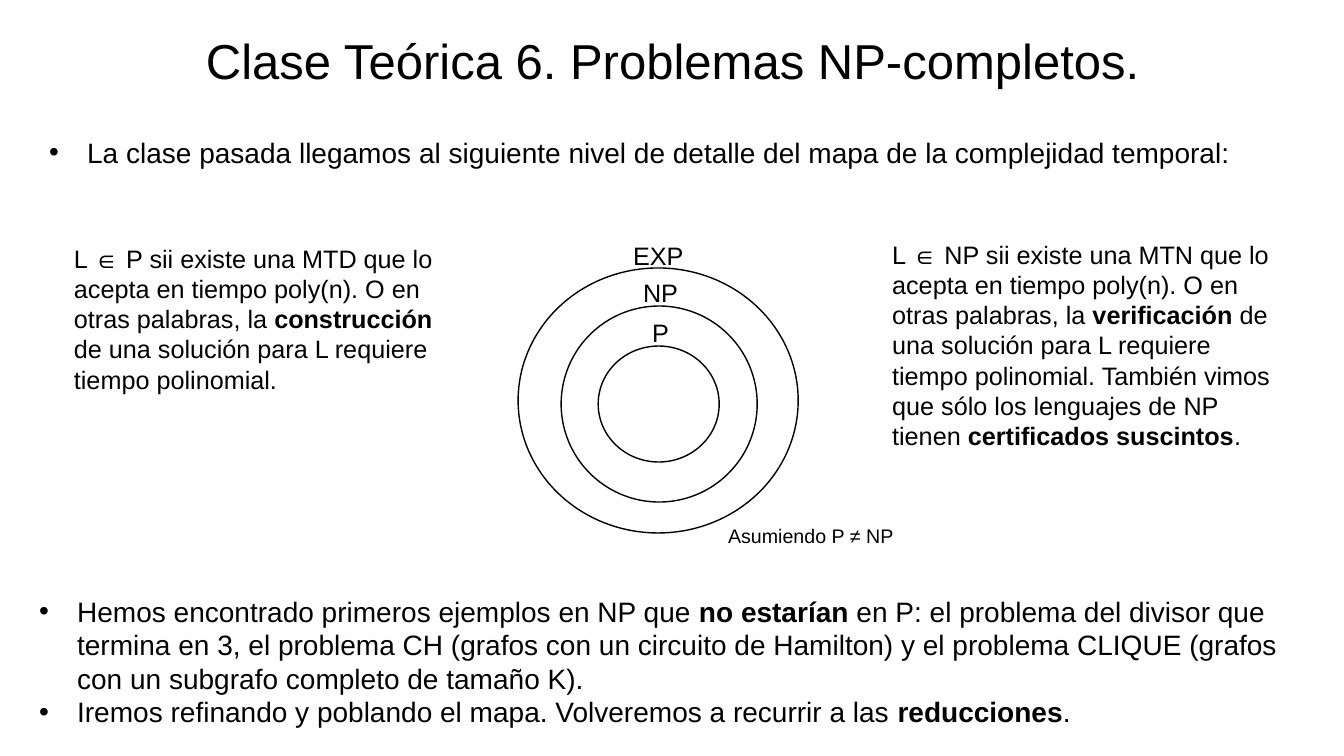
from pptx import Presentation
from pptx.dml.color import RGBColor
from pptx.enum.shapes import MSO_SHAPE
from pptx.enum.text import MSO_ANCHOR, MSO_AUTO_SIZE, PP_ALIGN
from pptx.util import Inches, Pt

EMU_PER_PX = 914400 / 100.8
FONT = "Arial"
BLACK = "000000"
LIST_INDENT = 38


def px(value):
    """Turn pixels into EMU."""
    return round(value * EMU_PER_PX)


def color(hex_code):
    """Turn a hex string into a colour."""
    return RGBColor.from_string(hex_code)


def place(shape, box):
    """Move a shape to a (left, top, width, height) box."""
    shape.left, shape.top, shape.width, shape.height = map(px, box)


def write(paragraph, text, size):
    """Write text into a paragraph; parts between ** are bold."""
    for i, part in enumerate(text.split("**")):
        if part:
            run = paragraph.add_run()
            run.text = part
            font = run.font
            font.name, font.size, font.bold = FONT, Pt(size), i % 2 == 1
            font.color.rgb = color(BLACK)


def set_title(slide, text, box):
    """Fill and format the title placeholder."""
    title = slide.shapes.title
    place(title, box)
    frame = title.text_frame
    frame.auto_size = MSO_AUTO_SIZE.NONE
    frame.vertical_anchor = MSO_ANCHOR.MIDDLE
    paragraph = frame.paragraphs[0]
    paragraph.alignment = PP_ALIGN.CENTER
    paragraph.line_spacing = 0.9
    write(paragraph, text, 35)


def set_list(placeholder, items, box):
    """Fill a body placeholder with bulleted items."""
    place(placeholder, box)
    frame = placeholder.text_frame
    frame.auto_size = MSO_AUTO_SIZE.NONE
    for i, item in enumerate(items):
        paragraph = frame.add_paragraph() if i else frame.paragraphs[0]
        paragraph.space_before = Pt(0)
        properties = paragraph._p.get_or_add_pPr()
        properties.set("marL", str(px(LIST_INDENT)))
        properties.set("indent", str(-px(LIST_INDENT)))
        write(paragraph, item, 20)


def add_text(slide, text, box, size=18, wrap=False):
    """Add a text box."""
    text_box = slide.shapes.add_textbox(*map(px, box))
    text_box.text_frame.word_wrap = wrap
    write(text_box.text_frame.paragraphs[0], text, size)


def add_ring(slide, box):
    """Add an unfilled circle outline."""
    ring = slide.shapes.add_shape(MSO_SHAPE.FLOWCHART_CONNECTOR, *map(px, box))
    ring.shadow.inherit = False
    ring.fill.background()
    ring.line.color.rgb = color(BLACK)
    ring.line.width = Pt(1)


def main():
    """Build the slide and save it."""
    prs = Presentation()
    prs.slide_width, prs.slide_height = Inches(13.33), Inches(7.5)
    slide = prs.slides.add_slide(prs.slide_layouts.get_by_name("Two Content"))
    set_title(slide, "Clase Teórica 6. Problemas NP-completos.", (24, 28, 1298, 72))

    intro, conclusions = list(slide.placeholders)[1:]
    set_list(intro, [
        "La clase pasada llegamos al siguiente nivel de detalle del mapa de la "
        "complejidad temporal:",
    ], (39, 130, 1258, 44))
    set_list(conclusions, [
        "Hemos encontrado primeros ejemplos en NP que **no estarían** en P: el "
        "problema del divisor que termina en 3, el problema CH (grafos con un "
        "circuito de Hamilton) y el problema CLIQUE (grafos con un subgrafo "
        "completo de tamaño K).",
        "Iremos refinando y poblando el mapa. Volveremos a recurrir a las "
        "**reducciones**.",
    ], (29, 589, 1292, 146))

    add_text(slide, "L ∈ P sii existe una MTD que lo acepta en tiempo poly(n). O en "
             "otras palabras, la **construcción** de una solución para L requiere "
             "tiempo polinomial.", (64, 238, 392, 163), wrap=True)
    add_text(slide, "L ∈ NP sii existe una MTN que lo acepta en tiempo poly(n). O en "
             "otras palabras, la **verificación** de una solución para L requiere "
             "tiempo polinomial. También vimos que sólo los lenguajes de NP tienen "
             "**certificados suscintos**.", (882, 234, 418, 224), wrap=True)
    add_text(slide, "Asumiendo P ≠ NP", (718, 519, 192, 34), size=14)

    complexity_classes = [
        ("EXP", (623, 235, 72, 40), (518, 268, 280, 265)),
        ("NP", (633, 272, 55, 40), (561, 306, 196, 196)),
        ("P", (642, 312, 37, 40), (598, 346, 121, 116)),
    ]
    for name, label_box, ring_box in complexity_classes:
        add_text(slide, name, label_box)
        add_ring(slide, ring_box)

    prs.save("out.pptx")


main()
